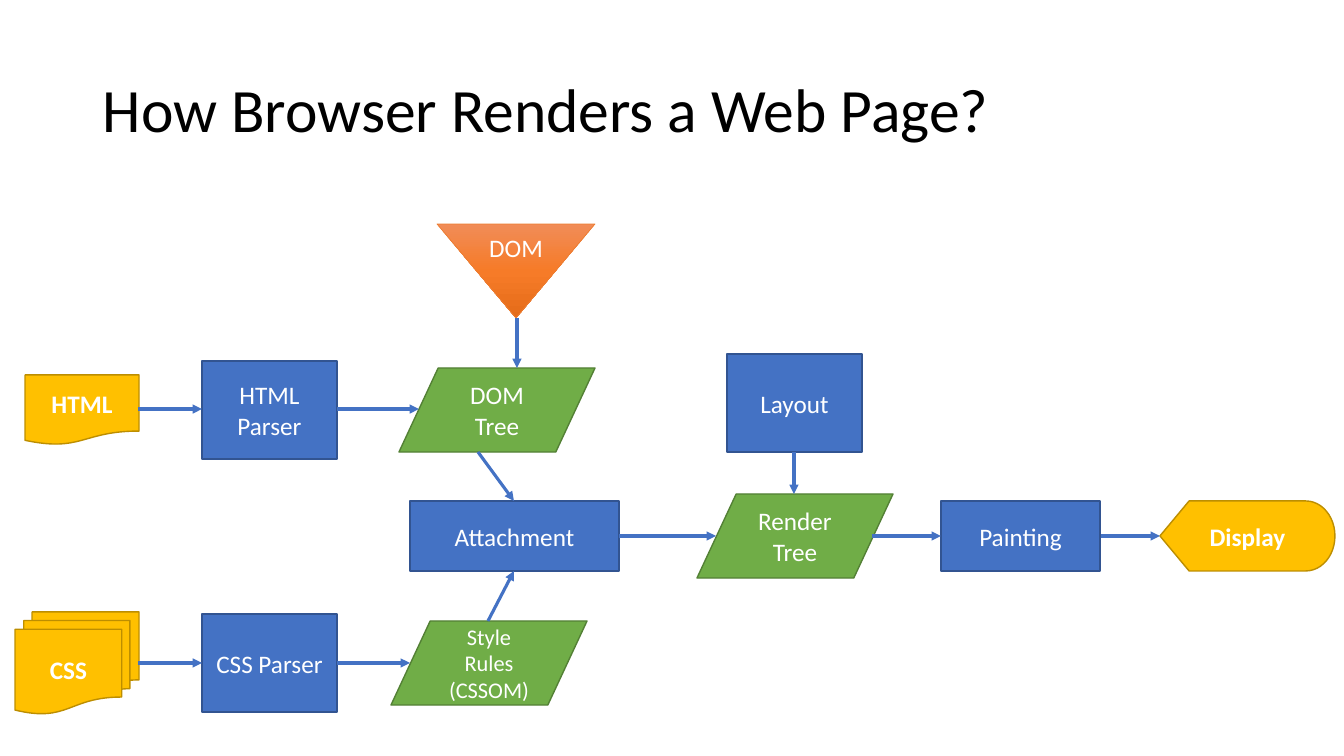
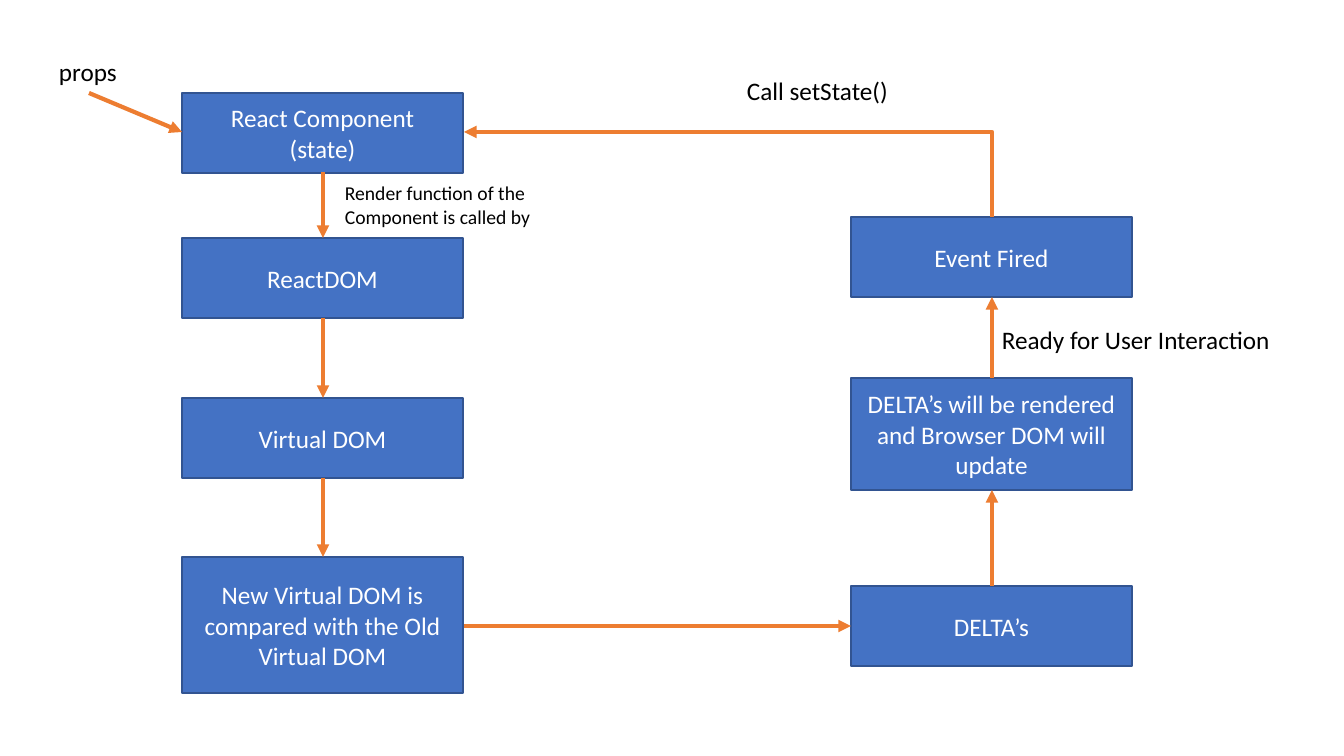
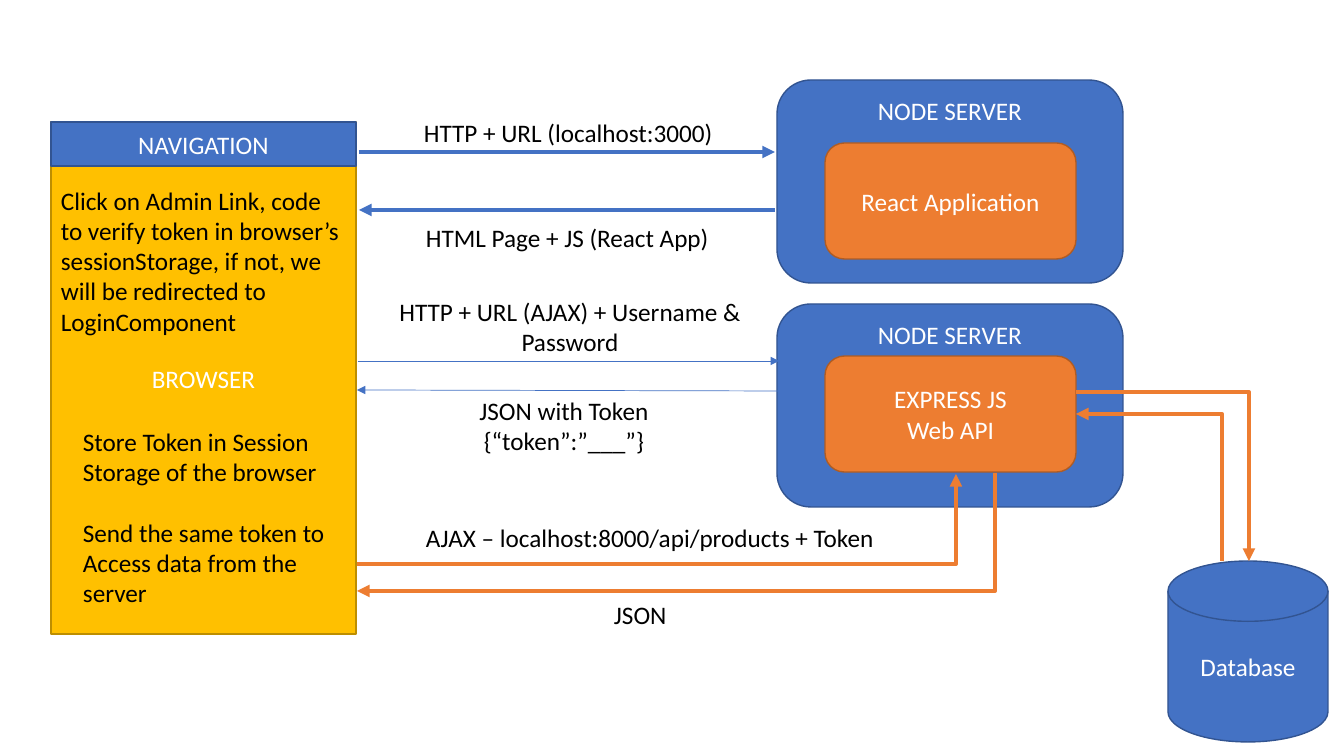
from copy import deepcopy

from lxml import etree
from pptx import Presentation
from pptx.dml.color import RGBColor
from pptx.enum.shapes import MSO_CONNECTOR, MSO_SHAPE
from pptx.enum.text import MSO_ANCHOR, PP_ALIGN
from pptx.oxml.ns import qn
from pptx.util import Emu, Pt

PIXEL = 914400 / 100.8
FONT = "Calibri"
BLACK, WHITE = "000000", "FFFFFF"
BLUE, GREEN, YELLOW, ORANGE = "4472C4", "70AD47", "FFC000", "ED7D31"
OUTLINES = {BLUE: "325491", GREEN: "538035", YELLOW: "BD8E00", ORANGE: "AF5C24"}

STRAIGHT, ELBOW = MSO_CONNECTOR.STRAIGHT, MSO_CONNECTOR.ELBOW
LEFT, CENTER = PP_ALIGN.LEFT, PP_ALIGN.CENTER
TOP, MIDDLE = MSO_ANCHOR.TOP, MSO_ANCHOR.MIDDLE
RECTANGLE, ROUNDED = MSO_SHAPE.RECTANGLE, MSO_SHAPE.ROUNDED_RECTANGLE
PROCESS, DATA = MSO_SHAPE.FLOWCHART_PROCESS, MSO_SHAPE.FLOWCHART_DATA
DOCUMENT, DOCUMENTS = MSO_SHAPE.FLOWCHART_DOCUMENT, MSO_SHAPE.FLOWCHART_MULTIDOCUMENT
MERGE, DISPLAY = MSO_SHAPE.FLOWCHART_MERGE, MSO_SHAPE.FLOWCHART_DISPLAY
DISK = MSO_SHAPE.FLOWCHART_MAGNETIC_DISK


def add_block(slide, text, box, geometry=None, fill=BLUE, size=18, bold=False,
              align=None, anchor=None, wrap=True, spacing=None, gaps=()):
    """Add a filled shape, or a plain text box when no geometry is given."""
    lengths = [Emu(round(value * PIXEL)) for value in box]
    if geometry is None:
        shape = slide.shapes.add_textbox(*lengths)
    else:
        shape = slide.shapes.add_shape(geometry, *lengths)
        shape.shadow.inherit = False
        shape.fill.solid()
        shape.fill.fore_color.rgb = RGBColor.from_string(fill)
        shape.line.color.rgb = RGBColor.from_string(OUTLINES[fill])
        shape.line.width = Pt(1)
    frame = shape.text_frame
    frame.word_wrap = wrap
    frame.vertical_anchor = anchor or (MIDDLE if geometry else TOP)
    for index, line in enumerate(text.split("\n")):
        paragraph = frame.add_paragraph() if index else frame.paragraphs[0]
        paragraph.alignment = align or (CENTER if geometry else LEFT)
        paragraph.line_spacing = spacing
        if index in gaps:
            paragraph.space_before = Pt(22)
        run = paragraph.add_run()
        run.text = line
        run.font.name, run.font.size, run.font.bold = FONT, Pt(size), bold
        run.font.color.rgb = RGBColor.from_string(WHITE if geometry else BLACK)
    return shape


def add_arrow(slide, points, color, width, bent=False, end="tailEnd"):
    """Add an arrow; a bent one runs across first, then up or down."""
    lengths = [Emu(round(value * PIXEL)) for value in points]
    arrow = slide.shapes.add_connector(ELBOW if bent else STRAIGHT, *lengths)
    arrow.line.color.rgb = RGBColor.from_string(color)
    arrow.line.width = Pt(width)
    properties = arrow._element.spPr
    if bent:
        properties.find(qn("a:prstGeom")).set("prst", "bentConnector2")
    etree.SubElement(properties.find(qn("a:ln")), qn("a:" + end), type="triangle")
    etree.SubElement(properties, qn("a:effectLst"))


presentation = Presentation()
presentation.slide_width = Emu(round(1344 * PIXEL))
presentation.slide_height = Emu(round(756 * PIXEL))
blank = presentation.slide_layouts[6]

# Browser rendering
slide = presentation.slides.add_slide(blank)
add_block(slide, "How Browser Renders a Web Page?", (93, 40, 1159, 146),
          size=44, anchor=MIDDLE, spacing=0.9)

for text, box, geometry in [
    ("HTML", (25, 375, 114, 70), DOCUMENT),
    ("CSS", (15, 612, 124, 102), DOCUMENTS),
    ("Display", (1160, 501, 175, 70), DISPLAY),
]:
    add_block(slide, text, box, geometry, YELLOW, bold=True)

for text, left, top in [("HTML Parser", 202, 361), ("CSS Parser", 202, 614),
                        ("Layout", 727, 354)]:
    add_block(slide, text, (left, top, 135, 98), PROCESS)

for text, left, top, size in [("DOM Tree", 399, 368, 18), ("Render Tree", 697, 494, 18),
                              ("Style Rules (CSSOM)", 391, 621, 16)]:
    add_block(slide, text, (left, top, 196, 84), DATA, GREEN, size=size)

for text, left, width in [("Attachment", 410, 209), ("Painting", 941, 159)]:
    add_block(slide, text, (left, 501, width, 70), RECTANGLE)

dom = add_block(slide, "DOM", (437, 224, 158, 94), MERGE, ORANGE)
dom.line.color.rgb = RGBColor.from_string(ORANGE)
dom.line.width = Pt(0.5)
dom.fill.gradient()
dom.fill.gradient_angle = 270
first_stop = dom._element.spPr.find(qn("a:gradFill")).find(qn("a:gsLst"))[0]
first_stop.addnext(deepcopy(first_stop))
for stop, position, color in zip(dom.fill.gradient_stops, (0, 0.5, 1),
                                 ("F18C57", "F67B28", "E56C19")):
    stop.position = position
    stop.color.rgb = RGBColor.from_string(color)

for points in [
    (138, 409, 202, 409), (337, 409, 419, 409), (517, 318, 517, 368),
    (138, 663, 202, 663), (337, 663, 410, 663), (478, 452, 514, 501),
    (488, 621, 514, 571), (619, 536, 716, 536), (794, 452, 794, 494),
    (872, 536, 941, 536), (1101, 536, 1160, 536),
]:
    add_arrow(slide, points, BLUE, 2.25)

# Component life cycle
slide = presentation.slides.add_slide(blank)
for text, left, top, height in [
    ("React Component\n(state)", 182, 93, 80),
    ("ReactDOM", 182, 238, 80),
    ("Virtual DOM", 182, 398, 80),
    ("New Virtual DOM is compared with the Old Virtual DOM", 182, 557, 136),
    ("DELTA’s", 851, 586, 80),
    ("DELTA’s will be rendered and Browser DOM will update", 851, 378, 112),
    ("Event Fired", 851, 217, 80),
]:
    add_block(slide, text, (left, top, 281, height), RECTANGLE)

for text, box, size in [
    ("Render function of the\nComponent is called by", (335, 176, 208, 57), 14),
    ("Ready for User Interaction", (992, 319, 291, 40), 18),
    ("Call setState()", (737, 70, 163, 40), 18),
    ("props", (49, 51, 79, 40), 18),
]:
    add_block(slide, text, box, size=size, wrap=False)

for points in [
    (89, 93, 182, 132), (323, 172, 323, 238), (323, 318, 323, 398),
    (323, 478, 323, 557), (464, 626, 851, 626), (992, 586, 992, 490),
    (992, 378, 992, 297),
]:
    add_arrow(slide, points, ORANGE, 3)
add_arrow(slide, (464, 132, 992, 217), ORANGE, 3, bent=True, end="headEnd")

# Token login
slide = presentation.slides.add_slide(blank)
add_block(slide, "BROWSER", (51, 122, 305, 512), RECTANGLE, YELLOW)
add_block(slide, "NAVIGATION", (51, 122, 305, 44), RECTANGLE)
for server_top, application, application_top in [
    (80, "React Application", 143),
    (304, "EXPRESS JS\nWeb API", 356),
]:
    add_block(slide, "NODE SERVER", (777, server_top, 346, 203), ROUNDED, anchor=TOP)
    add_block(slide, application, (825, application_top, 251, 116), ROUNDED, ORANGE)
add_block(slide, "Database", (1168, 561, 160, 181), DISK)

for text, box, align, wrap in [
    ("HTTP + URL (localhost:3000)", (414, 112, 312, 40), LEFT, False),
    ("HTML Page + JS (React App)", (416, 217, 306, 40), LEFT, False),
    ("Click on Admin Link, code to verify token in browser’s sessionStorage, "
     "if not, we will be redirected to LoginComponent", (51, 180, 304, 163), LEFT, True),
    ("HTTP + URL (AJAX) + Username & Password", (374, 291, 392, 72), CENTER, True),
    ("JSON with Token\n{“token”:”___”}", (468, 390, 192, 72), CENTER, False),
    ("AJAX – localhost:8000/api/products + Token", (416, 517, 474, 40), LEFT, False),
    ("JSON", (604, 594, 74, 40), LEFT, False),
]:
    add_block(slide, text, box, align=align, wrap=wrap)
add_block(slide, "Store Token in Session\nStorage of the browser\nSend the same token to\n"
          "Access data from the\nserver", (73, 421, 271, 194), wrap=False, gaps=(2,))

for points, width in [
    ((359, 152, 775, 152), 3), ((775, 210, 359, 210), 3),
    ((358, 361, 779, 361), 0.5), ((779, 391, 357, 390), 0.5),
]:
    add_arrow(slide, points, BLUE, width)
for points, end in [
    ((1076, 392, 1249, 561), "tailEnd"), ((1076, 414, 1222, 561), "headEnd"),
    ((357, 564, 956, 474), "tailEnd"), ((357, 591, 995, 473), "headEnd"),
]:
    add_arrow(slide, points, ORANGE, 3, bent=True, end=end)

presentation.save("out.pptx")
